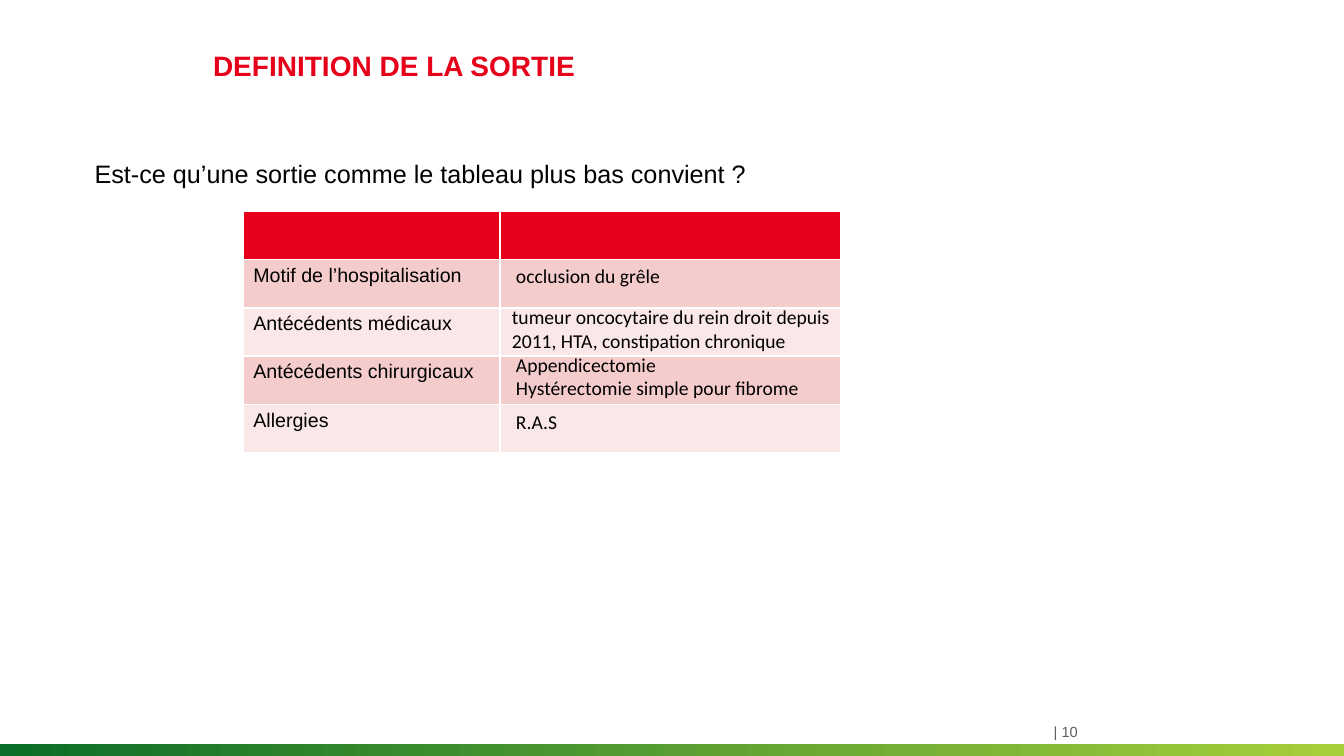
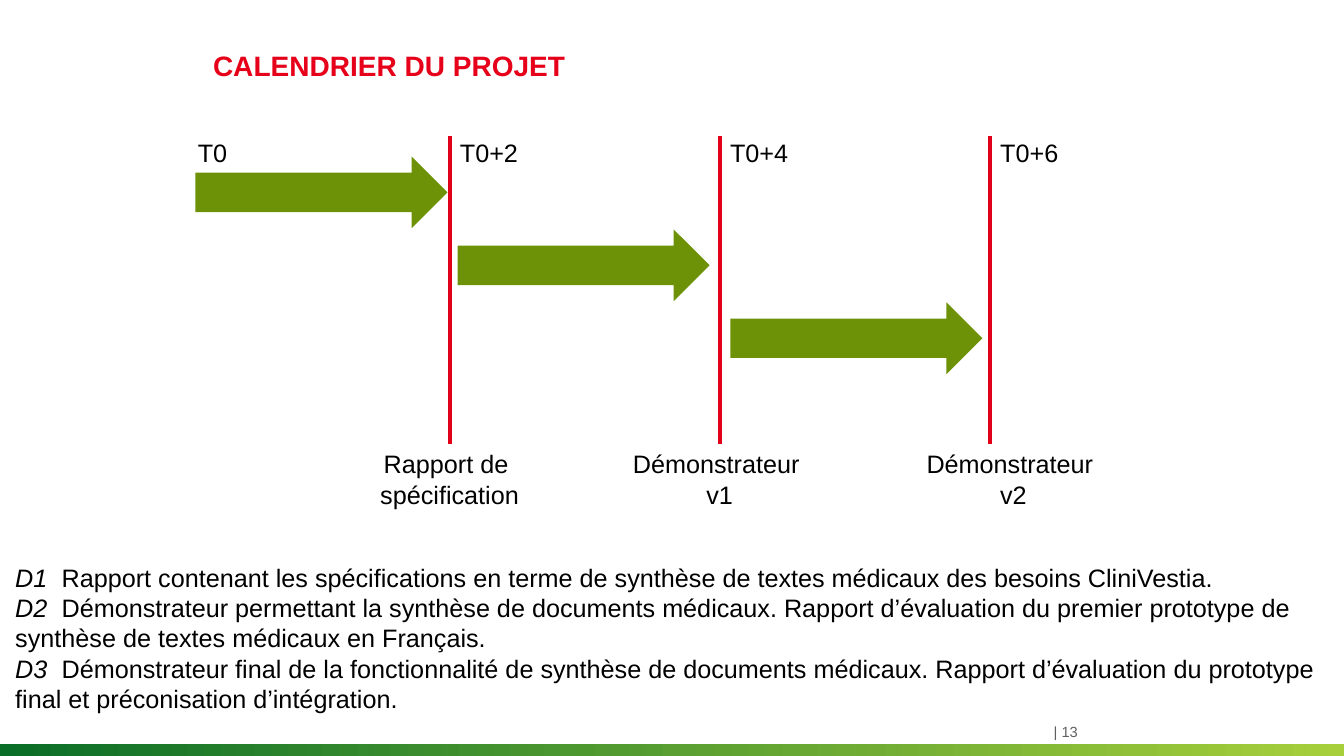
from dataclasses import dataclass

from lxml.etree import SubElement
from pptx import Presentation
from pptx.dml.color import RGBColor
from pptx.enum.shapes import MSO_CONNECTOR, MSO_SHAPE
from pptx.enum.text import MSO_ANCHOR, PP_ALIGN
from pptx.oxml.ns import qn
from pptx.util import Inches, Pt


@dataclass(frozen=True)
class Theme:
    red: str = "E60019"
    rule: str = "E10018"
    green: str = "6D9208"
    dark: str = "0A6E28"
    lime: str = "A7CF3B"
    rose: str = "F5CCCC"
    pale: str = "FAE7E8"
    gray: str = "5F5F5F"
    black: str = "000000"
    sans: str = "Arial"
    alt: str = "Calibri"
    head: float = 20
    body: float = 18
    cell: float = 14
    foot: float = 10.5


look = Theme()
hue = RGBColor.from_string
deck = Presentation()
deck.slide_width, deck.slide_height = Inches(13.33), Inches(7.5)


def at(x, y, w, h):
    """Turn percent shares of the slide into lengths."""
    wide, high = deck.slide_width / 100, deck.slide_height / 100
    return int(x * wide), int(y * high), int(w * wide), int(h * high)


def write(frame, text, size=look.body, color=look.black, face=look.sans, bold=False):
    frame.text = text
    frame.word_wrap = True
    for line in frame.paragraphs:
        for run in line.runs:
            run.font.name, run.font.size, run.font.bold = face, Pt(size), bold
            run.font.color.rgb = hue(color)


# Shared frame: bottom strip, page number and title
slides = []
for title, page in (("DEFINITION DE LA SORTIE", 10), ("CALENDRIER DU PROJET", 13)):
    slide = deck.slides.add_slide(deck.slide_layouts[6])
    slides.append(slide)
    strip = slide.shapes.add_shape(MSO_SHAPE.RECTANGLE, *at(0, 98.4, 100, 1.6))
    strip.shadow.inherit = False
    strip.line.fill.background()
    strip.fill.gradient()
    strip.fill.gradient_angle = 0
    for stop, color in zip(strip.fill.gradient_stops, (look.dark, look.lime)):
        stop.color.rgb = hue(color)
    for text, place, size, color, bold in (
        (f"| {page}", (78.4, 95.6, 9.5, 2.4), look.foot, look.gray, False),
        (title, (15.85, 3.05, 80.2, 11.3), look.head, look.red, True),
    ):
        frame = slide.shapes.add_textbox(*at(*place)).text_frame
        frame.margin_left = frame.margin_right = 0
        frame.margin_top = frame.margin_bottom = 0
        frame.vertical_anchor = MSO_ANCHOR.MIDDLE
        write(frame, text, size, color, bold=bold)

# Discharge table, with the answers laid over its right column
slide = slides[0]
labels = ("", "Motif de l’hospitalisation", "Antécédents médicaux",
          "Antécédents chirurgicaux", "Allergies")
table = slide.shapes.add_table(
    len(labels), 2, *at(18.1, 28, 44.45, 6.37 * len(labels))).table
for col, share in zip(table.columns, (19.1, 25.35)):
    col.width = at(share, 0, 0, 0)[0]
for r, label in enumerate(labels):
    for cell in table.rows[r].cells:
        cell.fill.solid()
        cell.fill.fore_color.rgb = hue((look.pale, look.rose)[r % 2] if r else look.red)
    write(table.cell(r, 0).text_frame, label, look.cell)

answers = (
    ("occlusion du grêle", 37.65, 34.25),
    ("tumeur oncocytaire du rein droit depuis 2011, HTA, constipation chronique",
     37.35, 39.7),
    ("Appendicectomie\nHystérectomie simple pour fibrome", 37.65, 46),
    ("R.A.S", 37.65, 53.6),
)
for text, x, y in answers:
    box = slide.shapes.add_textbox(*at(x, y, 25.2, 7.6))
    write(box.text_frame, text, look.cell, face=look.alt)

box = slide.shapes.add_textbox(*at(6.3, 20.3, 57.3, 5.3))
write(box.text_frame, "Est-ce qu’une sortie comme le tableau plus bas convient ?")

# Project timeline
slide = slides[1]
first, step = 33.48, 20.1
for i, left in enumerate((14.55, 34.05, 54.35)):
    arrow = slide.shapes.add_shape(
        MSO_SHAPE.RIGHT_ARROW, *at(left, 20.7 + 9.65 * i, 18.75, 9.5))
    arrow.shadow.inherit = False
    arrow.line.fill.background()
    arrow.fill.solid()
    arrow.fill.fore_color.rgb = hue(look.green)
    arrow.adjustments[0] = 0.55

goals = (("Rapport de \nspécification", 33.45),
         ("Démonstrateur \nv1", 53.55), ("Démonstrateur \nv2", 75.4))
for i, (text, mid) in enumerate(goals):
    x, top, _, end = at(first + step * i, 18, 0, 58.7)
    mark = slide.shapes.add_connector(MSO_CONNECTOR.STRAIGHT, x, top, x, end)
    mark.line.color.rgb = hue(look.rule)
    mark.line.width = Pt(2.75)
    SubElement(mark._element.spPr, qn("a:effectLst"))
    frame = slide.shapes.add_textbox(*at(mid - 8, 58.7, 16, 9.5)).text_frame
    write(frame, text)
    for line in frame.paragraphs:
        line.alignment = PP_ALIGN.CENTER

for i, text in enumerate(("T0", "T0+2", "T0+4", "T0+6")):
    x = first + step * (i - 1) if i else 13.98
    box = slide.shapes.add_textbox(*at(x, 17.5, 8, 5.3))
    write(box.text_frame, text)

# Deliverables
notes = (
    "Rapport contenant les spécifications en terme de synthèse de textes médicaux "
    "des besoins CliniVestia.",
    "Démonstrateur permettant la synthèse de documents médicaux. Rapport d’évaluation "
    "du premier prototype de synthèse de textes médicaux en Français.",
    "Démonstrateur final de la fonctionnalité de synthèse de documents médicaux. "
    "Rapport d’évaluation du prototype final et préconisation d’intégration.",
)
frame = slide.shapes.add_textbox(*at(0.4, 73.7, 98.8, 22)).text_frame
write(frame, "\n".join(f"D{i}" for i, _ in enumerate(notes, 1)))
for line, note in zip(frame.paragraphs, notes):
    tabs = SubElement(line._p.get_or_add_pPr(), qn("a:tabLst"))
    SubElement(tabs, qn("a:tab"), pos=str(Inches(0.46)), algn="l")
    line.runs[0].font.italic = True
    rest = line.add_run()
    rest.text = f"\t{note}"
    rest.font.name, rest.font.size = look.sans, Pt(look.body)
    rest.font.color.rgb = hue(look.black)

deck.save("out.pptx")
